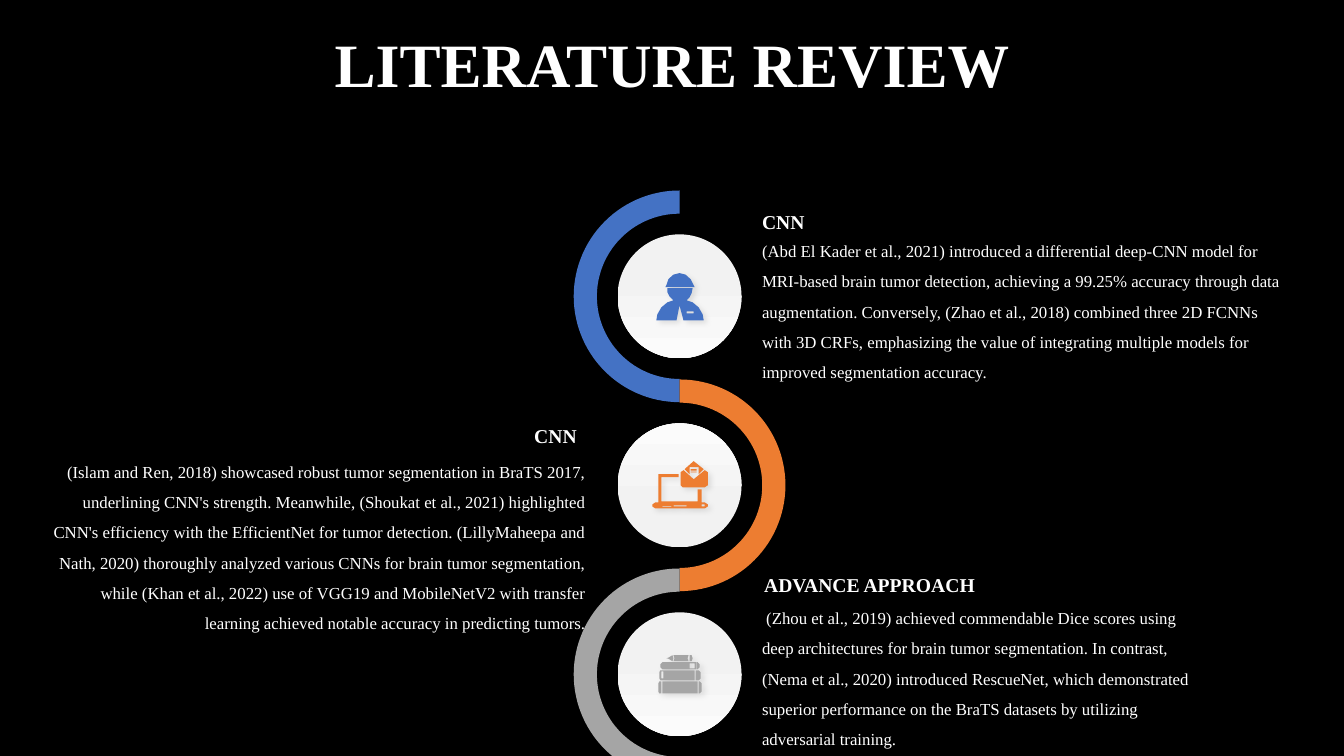
import math

from lxml import etree
from pptx import Presentation
from pptx.dml.color import RGBColor
from pptx.enum.shapes import MSO_SHAPE
from pptx.enum.text import MSO_ANCHOR, PP_ALIGN
from pptx.oxml.ns import qn
from pptx.util import Inches, Pt

OVAL = MSO_SHAPE.OVAL
MIDDLE, TOP = MSO_ANCHOR.MIDDLE, MSO_ANCHOR.TOP
LEFT, CENTER, RIGHT = PP_ALIGN.LEFT, PP_ALIGN.CENTER, PP_ALIGN.RIGHT
FONT = "Times New Roman"
BLACK, WHITE = "000000", "FFFFFF"
BLUE, ORANGE, GRAY = "4472C4", "ED7D31", "A5A5A5"
CHAIN_X, CHAIN_Y, CHAIN_STEP = 6.74, 2.94, 1.875
RING_OUTER, RING_INNER, DISC_SIZE = 1.05, 0.82, 1.23


def color(hex_value):
    """Turn a hex string into a colour."""
    return RGBColor.from_string(hex_value)


def box(left, top, right, bottom):
    """Return the corners of a rectangle."""
    return [(left, top), (right, top), (right, bottom), (left, bottom)]


WORKER = [
    [(-14, -9), (-13, -11), (-11, -17), (-6, -21.5), (0, -23), (6, -21.5),
     (11, -17), (14, -11), (15, -9)],
    [(-23, 24), (-22, 18), (-18, 11), (-12, 6), (-6, 4), (-10, 0), (-12, -4),
     (-12, -8), (13, -8), (12, -3), (10, 1), (7, 4), (13, 6), (19, 11),
     (23, 18), (24, 24), (4, 24), (0, 9), (-3, 24)],
    box(7, 15, 14, 17),
]
LAPTOP = [
    [(-18, -8), (-1, -8), (-1, -11), (-21, -11), (-21, 17), (-24, 17),
     (-27, 19), (-27, 21), (-24, 23), (25, 23), (28, 21), (28, 19), (25, 17),
     (22, 17), (22, 4), (18, 4), (18, 16), (-18, 16)],
    box(-6, 20, 7, 21), box(-17, 20.5, -8, 21.2), box(22, 19, 25, 21),
    [(3, 2), (1, 0), (1, -13), (4, -15), (14, -6), (25, -15), (28, -13),
     (28, 0), (25, 2)],
    [(10, -11), (5, -16), (14, -24), (24, -16), (19, -11), (19, -18), (10, -18)],
    *[box(11, y, 17, y + 0.6) for y in (-16, -14.7, -13.3)],
]
BOOKS = [
    [(-18, 7), (-20, 7), (-21, 9), (-21, 17), (-20, 19), (-18, 19)],
    box(-17, 7, 18, 19),
    [(19, 7), (20, 7), (22, 9), (22, 17), (20, 19), (19, 19)],
    [(-19, -4), (15, -4), (15, 6), (-19, 6), (-20, 4), (-20, -2)],
    box(-18, -3, -16, 4),
    [(16, -4), (19, -4), (21, -2), (21, 4), (19, 6), (16, 6)],
    [(-17, -12), (17, -12), (17, -5), (-17, -5), (-19, -7), (-19, -10)],
    box(10, -11, 15, -6),
    [(17.5, -12), (18, -12), (20, -10), (20, -7), (18, -5), (17.5, -5)],
    [(-13, -16), (-11, -16.5), (-11, -15.5)],
    [(-11, -16.5), (-7, -19), (-6, -16), (-7, -13), (-11, -15.5)],
    [(-6, -19), (9, -19), (8, -16), (9, -13), (-6, -13), (-5, -16)],
    [(10, -19), (12, -19), (13, -16), (12, -13), (10, -13)],
]

CHAIN = [(BLUE, -1, WORKER, 270), (ORANGE, 1, LAPTOP, 90), (GRAY, -1, BOOKS, 270)]

REVIEWS = [
    ("CNN", (7.46, 2.03, 0.63, 0.34), (7.46, 2.24, 5.37, 1.58), LEFT,
     "(Abd El Kader et al., 2021) introduced a differential deep-CNN model for "
     "MRI-based brain tumor detection, achieving a 99.25% accuracy through data "
     "augmentation. Conversely, (Zhao et al., 2018) combined three 2D FCNNs with "
     "3D CRFs, emphasizing the value of integrating multiple models for improved "
     "segmentation accuracy."),
    ("CNN", (5.2, 4.16, 0.63, 0.34), (0.37, 4.43, 5.54, 1.88), RIGHT,
     "(Islam and Ren, 2018) showcased robust tumor segmentation in BraTS 2017, "
     "underlining CNN's strength. Meanwhile, (Shoukat et al., 2021) highlighted "
     "CNN's efficiency with the EfficientNet for tumor detection. (LillyMaheepa "
     "and Nath, 2020) thoroughly analyzed various CNNs for brain tumor "
     "segmentation, while (Khan et al., 2022) use of VGG19 and MobileNetV2 with "
     "transfer learning achieved notable accuracy in predicting tumors."),
    ("ADVANCE APPROACH", (7.48, 5.63, 2.31, 0.34), (7.46, 5.88, 4.61, 1.58), LEFT,
     " (Zhou et al., 2019) achieved commendable Dice scores using deep "
     "architectures for brain tumor segmentation. In contrast, (Nema et al., 2020) "
     "introduced RescueNet, which demonstrated superior performance on the BraTS "
     "datasets by utilizing adversarial training."),
]


def add_text(slide, text, area, size=12, bold=False, align=LEFT, anchor=TOP,
             spacing=1.0, wrap=True):
    """Place white text in an area given as left, top, width, height."""
    frame = slide.shapes.add_textbox(*map(Inches, area)).text_frame
    frame.word_wrap = wrap
    frame.vertical_anchor = anchor
    paragraph = frame.paragraphs[0]
    paragraph.alignment = align
    paragraph.line_spacing = spacing
    run = paragraph.add_run()
    run.text = text
    run.font.name = FONT
    run.font.size = Pt(size)
    run.font.bold = bold
    run.font.color.rgb = color(WHITE)


def add_outline(slide, center, contours, fill):
    """Draw filled contours, in inches, around a centre."""
    placed = [[(Inches(center[0] + x), Inches(center[1] + y)) for x, y in contour]
              for contour in contours]
    builder = slide.shapes.build_freeform(*placed[0][0])
    for index, contour in enumerate(placed):
        if index:
            builder.move_to(*contour[0])
        builder.add_line_segments(contour[1:], close=True)
    outline = builder.convert_to_shape()
    outline.fill.solid()
    outline.fill.fore_color.rgb = color(fill)
    outline.line.fill.background()
    outline.shadow.inherit = False
    return outline


def add_half_ring(slide, center, side, fill):
    """Draw half a ring that opens away from the given side."""
    angles = [math.radians(degrees) for degrees in range(-90, 91, 3)]
    outer = [(side * RING_OUTER * math.cos(a), RING_OUTER * math.sin(a)) for a in angles]
    inner = [(side * RING_INNER * math.cos(a), RING_INNER * math.sin(a)) for a in angles]
    add_outline(slide, center, [outer + inner[::-1]], fill)


def add_disc(slide, center, angle):
    """Draw the pale disc behind an icon."""
    corner = [value - DISC_SIZE / 2 for value in center]
    disc = slide.shapes.add_shape(OVAL, *map(Inches, (*corner, DISC_SIZE, DISC_SIZE)))
    disc.shadow.inherit = False
    disc.line.fill.background()
    disc.fill.gradient()
    disc.fill.gradient_angle = angle
    tones = [("F2F2F2", 0.33), ("FBFBFB", 1.0)]
    for stop, (tone, position) in zip(disc.fill.gradient_stops, tones):
        stop.color.rgb = color(tone)
        stop.position = position


def add_icon(slide, center, contours, fill):
    """Draw an icon, given in hundredths of an inch, with a soft shadow."""
    scaled = [[(x / 100, y / 100) for x, y in contour] for contour in contours]
    icon = add_outline(slide, center, scaled, fill)
    effects = icon._element.spPr.find(qn("a:effectLst"))
    shadow = etree.SubElement(effects, qn("a:outerShdw"), blurRad=str(Pt(4)),
                              dist=str(Pt(3)), dir="2700000", algn="tl")
    tint = etree.SubElement(shadow, qn("a:srgbClr"), val=BLACK)
    etree.SubElement(tint, qn("a:alpha"), val="10000")


def add_chain(slide, left, top):
    """Draw the winding chain of rings, discs and icons down from its first centre."""
    centers = [(left, top + index * CHAIN_STEP) for index in range(len(CHAIN))]
    for center, (fill, side, _, _) in zip(centers, CHAIN):
        add_half_ring(slide, center, side, fill)
    for center, (fill, _, icon, angle) in zip(centers, CHAIN):
        add_disc(slide, center, angle)
        add_icon(slide, center, icon, fill)


def add_review(slide, heading, heading_area, body_area, align, body):
    """Place one review with its heading."""
    add_text(slide, heading, heading_area, size=14, bold=True, wrap=False)
    add_text(slide, body, body_area, align=align, spacing=1.5)


def main():
    """Build the literature review slide."""
    deck = Presentation()
    deck.slide_width, deck.slide_height = Inches(13.33), Inches(7.5)
    slide = deck.slides.add_slide(deck.slide_layouts[6])
    slide.background.fill.solid()
    slide.background.fill.fore_color.rgb = color(BLACK)
    add_text(slide, "LITERATURE REVIEW", (0.92, 0.2, 11.5, 0.94), size=44, bold=True,
             align=CENTER, anchor=MIDDLE, spacing=0.9)
    add_chain(slide, CHAIN_X, CHAIN_Y)
    for review in REVIEWS:
        add_review(slide, *review)
    deck.save("out.pptx")


if __name__ == "__main__":
    main()
